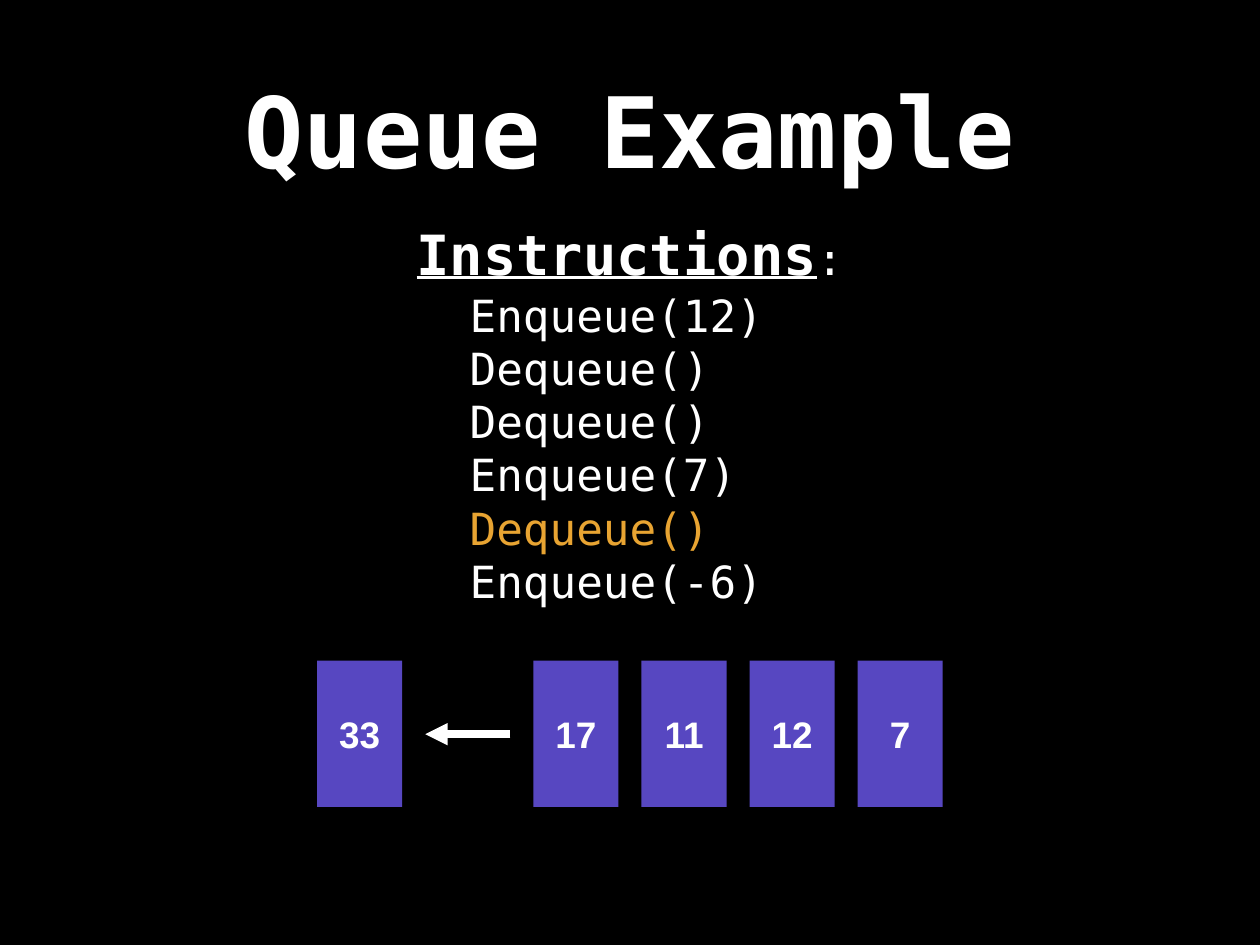
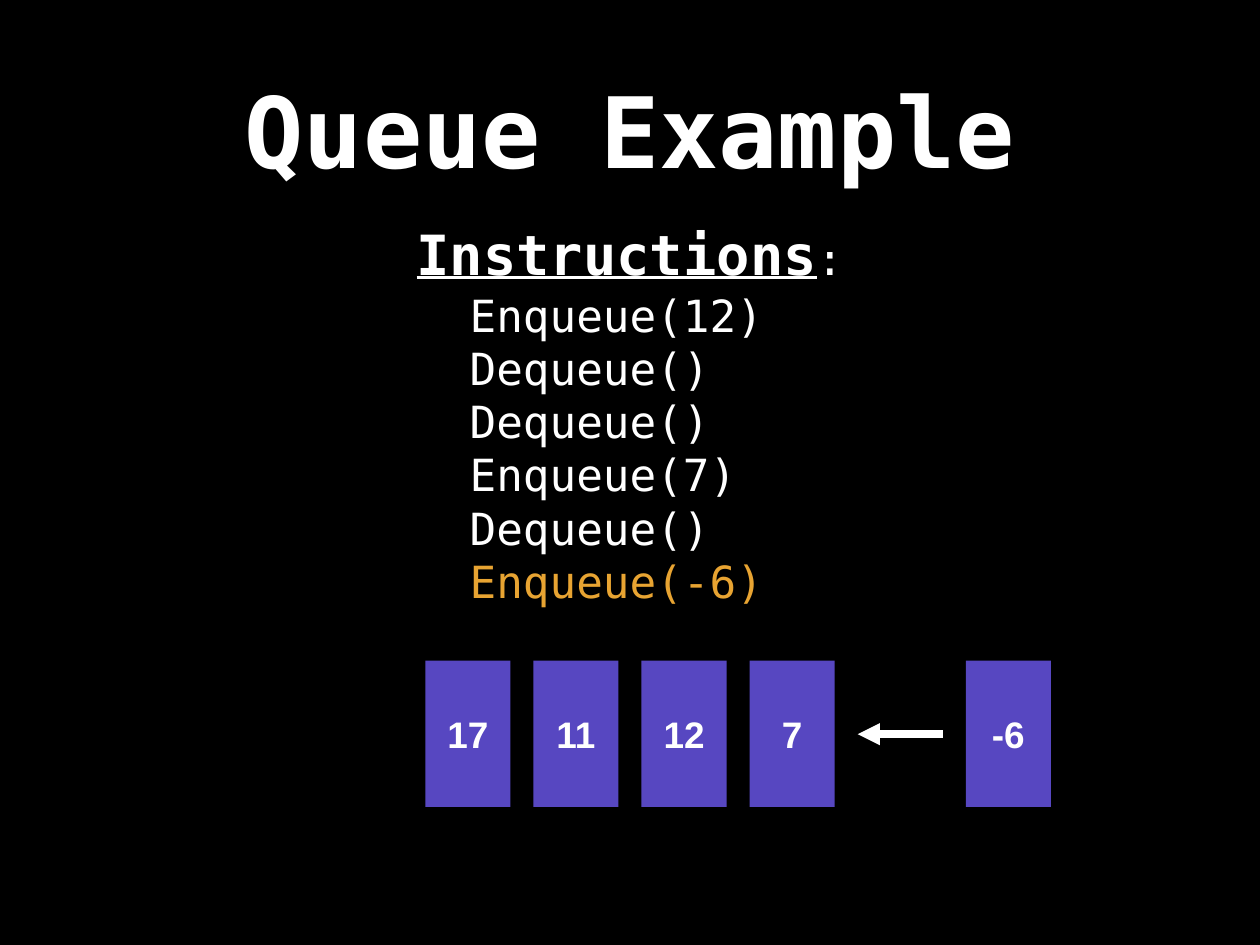
from dataclasses import dataclass

from pptx import Presentation
from pptx.dml.color import RGBColor
from pptx.enum import shapes, text
from pptx.oxml import ns, xmlchemy
from pptx.util import Inches, Pt


@dataclass(frozen=True)
class Theme:
    background: RGBColor = RGBColor(0x00, 0x00, 0x00)
    ink: RGBColor = RGBColor(0xFF, 0xFF, 0xFF)
    accent: RGBColor = RGBColor(0xE8, 0xA4, 0x32)
    cell: RGBColor = RGBColor(0x57, 0x47, 0xC1)
    mono: str = "DejaVu Sans Mono"
    sans: str = "Arial"
    title: int = 80
    heading: int = 45
    body: int = 36
    value: int = 30
    arrow: int = 6


THEME = Theme()
INSTRUCTIONS = ["Enqueue(12)", "Dequeue()", "Dequeue()", "Enqueue(7)", "Dequeue()", "Enqueue(-6)"]
ARROW = "arrow"
STEPS = [
    (4, ["33", ARROW, "17", "11", "12", "7"]),
    (5, [None, "17", "11", "12", "7", ARROW, "-6"]),
]
QUEUE_LEFT, QUEUE_TOP, SLOT_PITCH = 3.58, 7.46, 1.22
CELL_WIDTH, CELL_HEIGHT, ARROW_Y = 0.96, 1.65, 8.29


def style_run(r, size, color=THEME.ink, font=THEME.mono, bold=False, underline=False):
    r.font.name = font
    r.font.size = Pt(size)
    r.font.color.rgb = color
    r.font.bold = bold
    r.font.underline = underline


def set_frame(sp, wrap=True, grow=False):
    tf = sp.text_frame
    tf.word_wrap = wrap
    tf.auto_size = text.MSO_AUTO_SIZE.SHAPE_TO_FIT_TEXT if grow else text.MSO_AUTO_SIZE.NONE
    tf.vertical_anchor = text.MSO_ANCHOR.MIDDLE
    tf.margin_left = tf.margin_right = tf.margin_top = tf.margin_bottom = Inches(0.06)
    return tf


def add_text(s, left, top, width, height, **frame):
    sp = s.shapes.add_textbox(Inches(left), Inches(top), Inches(width), Inches(height))
    return set_frame(sp, **frame)


def add_title(s, title):
    tf = add_text(s, 1.04, 0.28, 12.14, 2.36)
    tf.text = title
    p = tf.paragraphs[0]
    p.alignment = text.PP_ALIGN.CENTER
    style_run(p.runs[0], THEME.title, bold=True)


def add_heading(s, heading):
    p = add_text(s, 0.36, 2.43, 13.5, 0.85, grow=True).paragraphs[0]
    p.alignment = text.PP_ALIGN.CENTER
    r = p.add_run()
    r.text = heading
    style_run(r, THEME.heading, bold=True, underline=True)
    r = p.add_run()
    r.text = ":"
    style_run(r, THEME.body)


def add_instructions(s, current):
    tf = add_text(s, 5.24, 3.29, 3.74, 3.53, wrap=False, grow=True)
    tf.text = "\n".join(INSTRUCTIONS)
    for i, p in enumerate(tf.paragraphs):
        p.alignment = text.PP_ALIGN.LEFT
        style_run(p.runs[0], THEME.body, THEME.accent if i == current else THEME.ink)


def add_cell(s, left, value):
    sp = s.shapes.add_shape(
        shapes.MSO_SHAPE.RECTANGLE,
        Inches(left), Inches(QUEUE_TOP), Inches(CELL_WIDTH), Inches(CELL_HEIGHT),
    )
    sp.shadow.inherit = False
    sp.fill.solid()
    sp.fill.fore_color.rgb = THEME.cell
    sp.line.fill.background()
    tf = set_frame(sp)
    tf.text = value
    p = tf.paragraphs[0]
    p.alignment = text.PP_ALIGN.CENTER
    style_run(p.runs[0], THEME.value, font=THEME.sans, bold=True)


def add_arrow(s, left):
    line = s.shapes.add_connector(
        shapes.MSO_CONNECTOR.STRAIGHT,
        Inches(left + CELL_WIDTH), Inches(ARROW_Y), Inches(left), Inches(ARROW_Y),
    )
    line.line.color.rgb = THEME.ink
    line.line.width = Pt(THEME.arrow)
    head = xmlchemy.OxmlElement("a:tailEnd")
    head.set("type", "triangle")
    sp_pr = line.element.spPr
    sp_pr.find(ns.qn("a:ln")).append(head)
    sp_pr.append(xmlchemy.OxmlElement("a:effectLst"))


def add_queue(s, slots):
    for i, slot in enumerate(slots):
        left = QUEUE_LEFT + i * SLOT_PITCH
        if slot == ARROW:
            add_arrow(s, left)
        elif slot:
            add_cell(s, left, slot)


def main():
    prs = Presentation()
    prs.slide_width, prs.slide_height = Inches(14.22), Inches(10.67)
    fill = prs.slide_master.background.fill
    fill.solid()
    fill.fore_color.rgb = THEME.background
    for current, slots in STEPS:
        s = prs.slides.add_slide(prs.slide_layouts[6])
        add_title(s, "Queue Example")
        add_heading(s, "Instructions")
        add_instructions(s, current)
        add_queue(s, slots)
    prs.save("out.pptx")


main()
